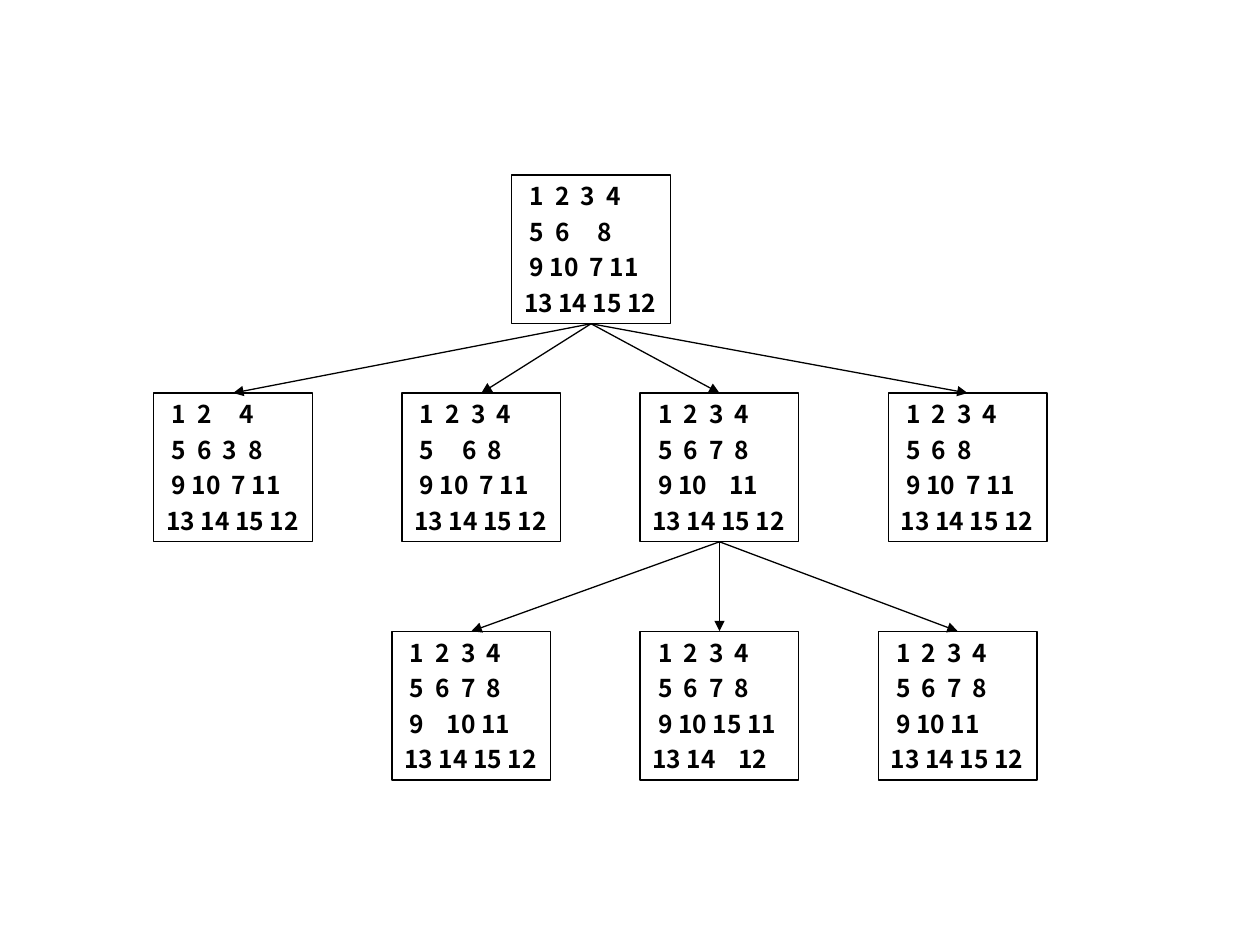
from lxml import etree
from pptx import Presentation
from pptx.dml.color import RGBColor
from pptx.enum import shapes, text
from pptx.oxml.ns import qn
from pptx.util import Pt

COLORS = {"ink": "000000"}
FONT = "Noto Sans CJK SC"
BOARD_WIDTH, BOARD_HEIGHT = 90.7, 85
DIGIT_WIDTH, SPACE_WIDTH = 8.26, 3.18
TOP_SITE, BOTTOM_SITE = 0, 2
MOVES = {"up": (-1, 0), "left": (0, -1), "down": (1, 0), "right": (0, 1)}
START = [[1, 2, 3, 4], [5, 6, None, 8], [9, 10, 7, 11], [13, 14, 15, 12]]


def slide_blank(state, move):
    """Return the state after the blank cell moves one step."""
    row, col = next((r, c) for r in range(4) for c in range(4) if state[r][c] is None)
    down, across = MOVES[move]
    after = [list(tiles) for tiles in state]
    after[row][col] = after[row + down][col + across]
    after[row + down][col + across] = None
    return after


def write_row(paragraph, tiles):
    """Write one row of tiles, each right-aligned in a field two characters wide."""
    paragraph.alignment = text.PP_ALIGN.LEFT
    paragraph.space_before = Pt(3.5)
    stops = etree.SubElement(paragraph._p.get_or_add_pPr(), qn("a:tabLst"))
    words, left = "", 0
    for tile in tiles:
        label = "" if tile is None else str(tile)
        left += (2 - len(label)) * SPACE_WIDTH
        if label:
            if left > 0:
                etree.SubElement(stops, qn("a:tab"), pos=str(Pt(left)), algn="l")
                words += "\t"
            words += label
        left += len(label) * DIGIT_WIDTH + SPACE_WIDTH
    paragraph.add_run().text = words
    font = paragraph.font
    font.name, font.size, font.bold = FONT, Pt(14), True
    font.color.rgb = RGBColor.from_string(COLORS["ink"])


def add_board(slide, state, left, top):
    """Draw one puzzle state in a box at the given place."""
    board = slide.shapes.add_shape(
        shapes.MSO_SHAPE.RECTANGLE, Pt(left), Pt(top), Pt(BOARD_WIDTH), Pt(BOARD_HEIGHT))
    board.shadow.inherit = False
    board.fill.background()
    board.line.color.rgb = RGBColor.from_string(COLORS["ink"])
    board.line.width = Pt(0.75)
    frame = board.text_frame
    frame.word_wrap = True
    frame.vertical_anchor = text.MSO_ANCHOR.MIDDLE
    frame.margin_left, frame.margin_right = Pt(7.2), Pt(0)
    frame.margin_top = frame.margin_bottom = Pt(3.6)
    for index, tiles in enumerate(state):
        write_row(frame.add_paragraph() if index else frame.paragraphs[0], tiles)
    return board


def add_arrow(slide, parent, child):
    """Join the bottom of the parent board to the top of the child board."""
    arrow = slide.shapes.add_connector(shapes.MSO_CONNECTOR.STRAIGHT, 0, 0, 0, 0)
    arrow.begin_connect(parent, BOTTOM_SITE)
    arrow.end_connect(child, TOP_SITE)
    arrow.line.color.rgb = RGBColor.from_string(COLORS["ink"])
    arrow.line.width = Pt(0.75)
    etree.SubElement(arrow.line._get_or_add_ln(), qn("a:tailEnd"), type="triangle")
    etree.SubElement(arrow._element.spPr, qn("a:effectLst"))


def add_level(slide, parent, state, top, lefts):
    """Draw the states one move away, with an arrow to each, and return them by move."""
    level = {}
    for move, left in lefts.items():
        after = slide_blank(state, move)
        level[move] = add_board(slide, after, left, top), after
    for child, _ in level.values():
        add_arrow(slide, parent, child)
    return level


def add_search_tree(slide, left, top):
    """Draw the two-level search tree of the fifteen puzzle from its top left corner."""
    root = add_board(slide, START, left + 204.5, top)
    first = add_level(slide, root, START, top + 124.6, {
        "up": left, "left": left + 141.8, "down": left + 277.9, "right": left + 419.7})
    add_level(slide, *first["down"], top + 260.7, {
        "left": left + 136.1, "down": left + 277.9, "right": left + 414})


def main():
    """Build the slide and save it."""
    deck = Presentation()
    deck.slide_width, deck.slide_height = Pt(720), Pt(540)
    slide = deck.slides.add_slide(deck.slide_layouts[6])
    add_search_tree(slide, 87.9, 100)
    deck.save("out.pptx")


if __name__ == "__main__":
    main()
